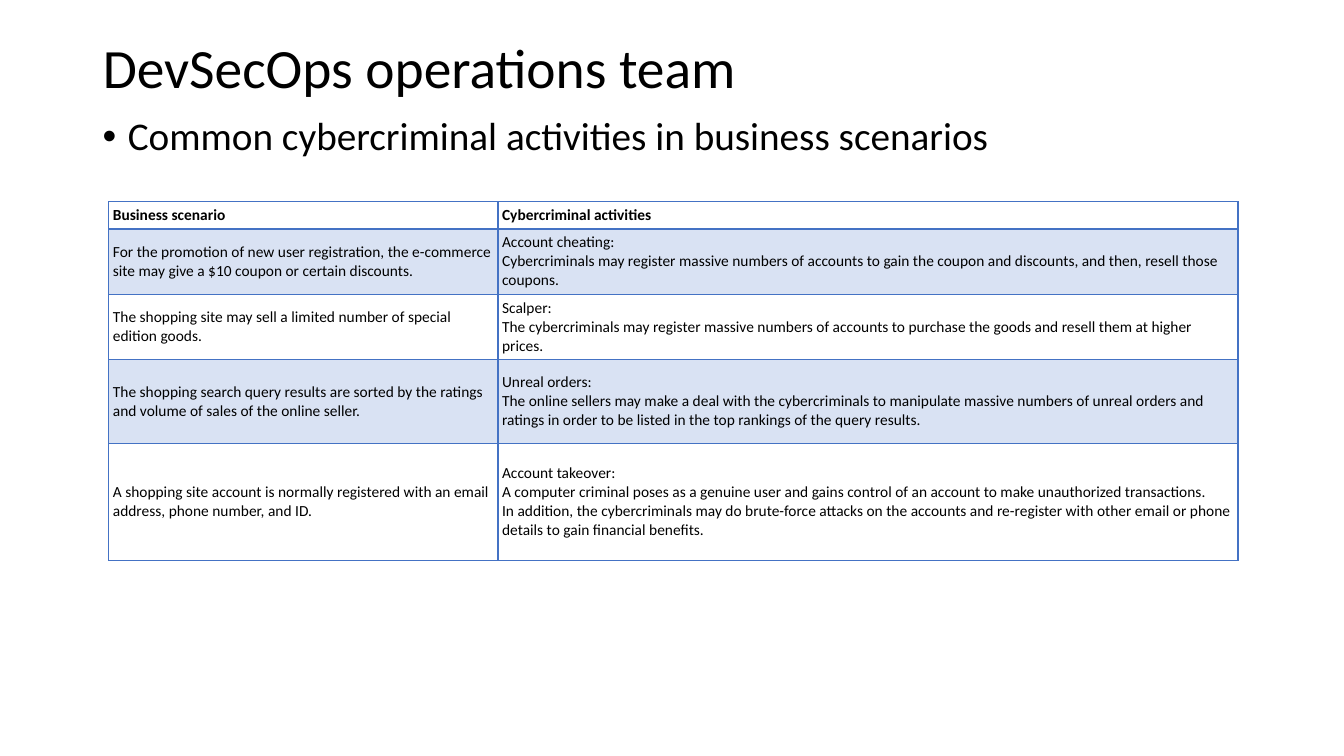
from pptx import Presentation
from pptx.dml.color import RGBColor
from pptx.enum.text import MSO_ANCHOR, MSO_AUTO_SIZE, PP_ALIGN
from pptx.oxml.ns import qn
from pptx.util import Inches, Pt
from lxml.etree import SubElement

COLORS = {"text": "000000", "accent": "4472C4"}
SLIDE_WIDTH, SLIDE_HEIGHT = 13.33, 7.5

HEADER = ("Business scenario", "Cybercriminal activities")
SCENARIOS = [
    ("For the promotion of new user registration, the e-commerce site may give a $10 coupon "
     "or certain discounts.",
     "Account cheating:\n"
     "Cybercriminals may register massive numbers of accounts to gain the coupon and discounts, "
     "and then, resell those coupons."),
    ("The shopping site may sell a limited number of special edition goods.",
     "Scalper:\n"
     "The cybercriminals may register massive numbers of accounts to purchase the goods and "
     "resell them at higher prices."),
    ("The shopping search query results are sorted by the ratings and volume of sales of the "
     "online seller.",
     "Unreal orders:\n"
     "The online sellers may make a deal with the cybercriminals to manipulate massive numbers "
     "of unreal orders and ratings in order to be listed in the top rankings of the query results."),
    ("A shopping site account is normally registered with an email address, phone number, and ID.",
     "Account takeover:\n"
     "A computer criminal poses as a genuine user and gains control of an account to make "
     "unauthorized transactions.\n"
     "In addition, the cybercriminals may do brute-force attacks on the accounts and re-register "
     "with other email or phone details to gain financial benefits."),
]


def apply(target, values):
    for name, value in values.items():
        setattr(target, name, value)


class SlideBuilder:
    """Holds the style and the current slide; places are in inches."""

    font_name = "Calibri"
    cell_format = {"vertical_anchor": MSO_ANCHOR.MIDDLE, **{
        f"margin_{side}": Inches(0.04) for side in ("left", "right", "top", "bottom")}}

    def __init__(self, presentation):
        self.slide = presentation.slides.add_slide(presentation.slide_layouts[5])

    def place(self, left, top, width, height):
        names = ("left", "top", "width", "height")
        return dict(zip(names, map(Inches, (left, top, width, height))))

    def format_text(self, paragraph, size, bold=False, line_spacing=1.0):
        apply(paragraph, {"alignment": PP_ALIGN.LEFT, "line_spacing": line_spacing})
        apply(paragraph.font, {"name": self.font_name, "size": Pt(size), "bold": bold})
        paragraph.font.color.rgb = RGBColor.from_string(COLORS["text"])

    def title(self, text, place):
        shape = self.slide.shapes.title
        apply(shape, self.place(*place))
        shape.text = text
        apply(shape.text_frame, {"vertical_anchor": MSO_ANCHOR.MIDDLE, "word_wrap": True,
                                 "auto_size": MSO_AUTO_SIZE.NONE})
        self.format_text(shape.text_frame.paragraphs[0], 39.6, line_spacing=0.9)

    def bullet(self, text, place):
        shape = self.slide.shapes.add_textbox(**self.place(*place))
        shape.text_frame.word_wrap = True
        paragraph = shape.text_frame.paragraphs[0]
        paragraph.text = text
        properties = paragraph._p.get_or_add_pPr()
        properties.set("marL", str(Inches(0.25)))
        properties.set("indent", str(-Inches(0.25)))
        SubElement(properties, qn("a:buFont"), typeface="Arial")
        SubElement(properties, qn("a:buChar"), char="•")
        self.format_text(paragraph, 28, line_spacing=0.9)

    def table(self, records, place, columns, rows):
        frame = self.slide.shapes.add_table(len(rows), len(columns), **self.place(*place))
        table = frame.table
        apply(table, {"first_row": False, "horz_banding": False})
        for column, width in zip(table.columns, columns):
            column.width = Inches(width)
        for index, (row, height, record) in enumerate(zip(table.rows, rows, records)):
            row.height = Inches(height)
            for cell, text in zip(row.cells, record):
                self.cell(cell, text, index)

    def cell(self, cell, text, row_index):
        cell.text = text
        apply(cell, self.cell_format)
        for paragraph in cell.text_frame.paragraphs:
            self.format_text(paragraph, 11, bold=row_index == 0)
        # The rule below the header is twice as heavy
        heavy_side = {0: "B", 1: "T"}.get(row_index)
        for side in "LRTB":
            self.border(cell, side, 2 if side == heavy_side else 1)
        # Every second row is tinted
        if row_index % 2:
            cell.fill.solid()
            cell.fill.fore_color.rgb = RGBColor.from_string(COLORS["accent"])
            color = cell._tc.tcPr.find(f"{qn('a:solidFill')}/{qn('a:srgbClr')}")
            SubElement(color, qn("a:alpha"), val="20000")
        else:
            cell.fill.background()

    def border(self, cell, side, width):
        properties = cell._tc.get_or_add_tcPr()
        line = SubElement(properties, qn(f"a:ln{side}"), w=str(Pt(width)))
        fill = SubElement(line, qn("a:solidFill"))
        SubElement(fill, qn("a:srgbClr"), val=COLORS["accent"])


def main():
    presentation = Presentation()
    apply(presentation, {"slide_width": Inches(SLIDE_WIDTH),
                         "slide_height": Inches(SLIDE_HEIGHT)})
    builder = SlideBuilder(presentation)

    # Heading and topic
    builder.title("DevSecOps operations team", (0.92, 0.4, 11.5, 0.6))
    builder.bullet("Common cybercriminal activities in business scenarios",
                   (0.92, 1.11, 11.5, 0.6))

    # Scenario table
    columns = (3.86, 7.34)
    rows = (0.27, 0.65, 0.65, 0.83, 1.16)
    builder.table([HEADER, *SCENARIOS], (1.08, 2, sum(columns), sum(rows)), columns, rows)

    presentation.save("out.pptx")


if __name__ == "__main__":
    main()
